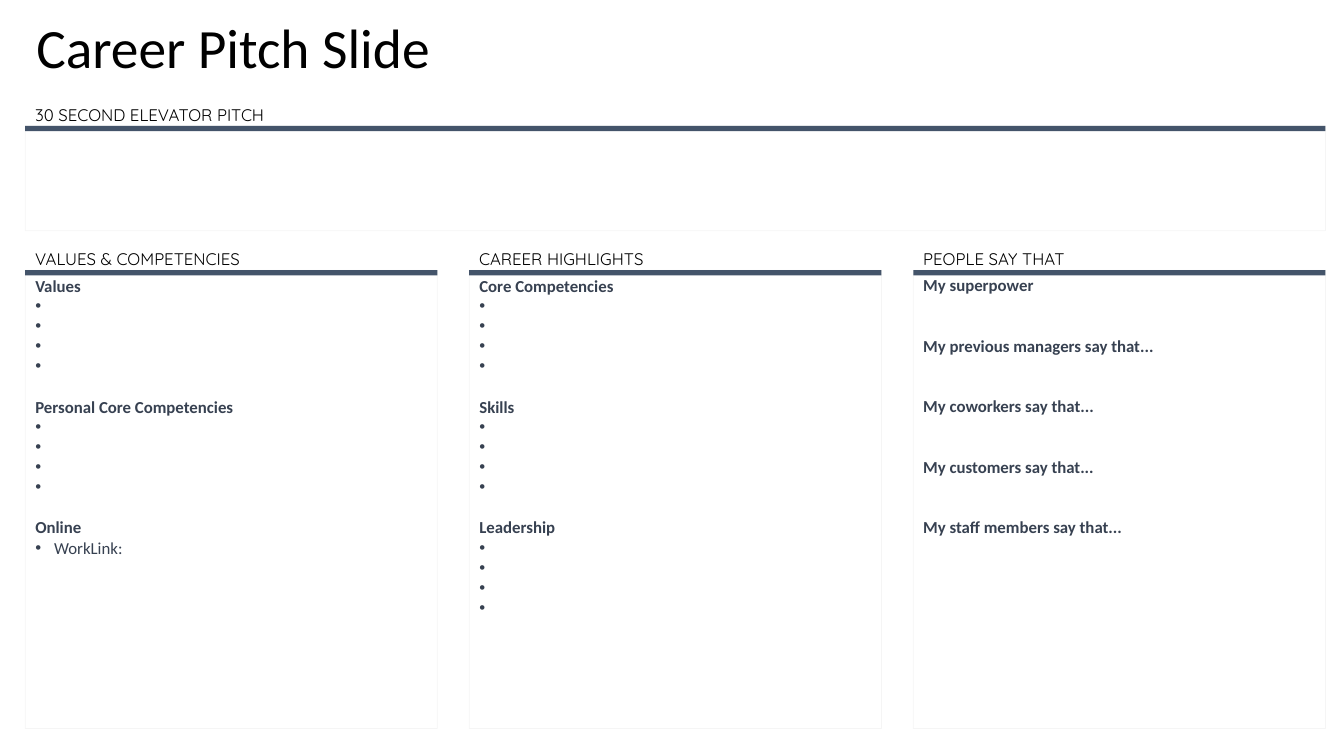
from dataclasses import dataclass

from lxml.etree import SubElement
from pptx import Presentation
from pptx.dml.color import RGBColor
from pptx.enum.shapes import MSO_SHAPE
from pptx.enum.text import MSO_ANCHOR, MSO_AUTO_SIZE, PP_ALIGN
from pptx.oxml.ns import qn
from pptx.util import Pt


@dataclass(frozen=True)
class Theme:
    black: RGBColor = RGBColor(0x00, 0x00, 0x00)
    white: RGBColor = RGBColor(0xFF, 0xFF, 0xFF)
    ink: RGBColor = RGBColor(0x37, 0x41, 0x51)
    accent: RGBColor = RGBColor(0x44, 0x54, 0x6A)
    body_font: str = "Calibri"
    label_font: str = "Quicksand"
    title_size: float = 39.6
    text_size: float = 12


THEME = Theme()
MARGIN = 18
COLUMN_WIDTH = 294.4
COLUMN_PITCH = 317.2
COLUMN_TOP = 193
COLUMN_HEIGHT = 327.4
PITCH_TOP = 90
PITCH_HEIGHT = 74.8
BAR_HEIGHT = 3.8
LABEL_RISE = 18.7
LABEL_HEIGHT = 22.2
LINE_HEIGHT = 14.4
BULLET_INDENT = 13.5
BLANK_ITEMS = [" "] * 4

COLUMNS = [
    ("VALUES & COMPETENCIES", LINE_HEIGHT, [
        ("Values", BLANK_ITEMS),
        ("Personal Core Competencies", BLANK_ITEMS),
        ("Online", ["WorkLink:"]),
    ]),
    ("CAREER HIGHLIGHTS", LINE_HEIGHT, [
        ("Core Competencies", BLANK_ITEMS),
        ("Skills", BLANK_ITEMS),
        ("Leadership", BLANK_ITEMS),
    ]),
    ("PEOPLE SAY THAT", 2 * LINE_HEIGHT, [
        ("My superpower", []),
        ("My previous managers say that...", []),
        ("My coworkers say that...", []),
        ("My customers say that...", []),
        ("My staff members say that...", []),
    ]),
]


def place(shape, left, top, width, height):
    shape.left, shape.top = Pt(left), Pt(top)
    shape.width, shape.height = Pt(width), Pt(height)


def add_span(para, text, font, size, color, bold=False):
    span = para.add_run()
    span.text = text
    span.font.name = font
    span.font.size = Pt(size)
    span.font.color.rgb = color
    span.font.bold = bold


def add_rectangle(slide, left, top, width, height):
    box = slide.shapes.add_shape(
        MSO_SHAPE.RECTANGLE, Pt(left), Pt(top), Pt(width), Pt(height))
    box.shadow.inherit = False
    return box


def style_panel(panel):
    panel.fill.solid()
    panel.fill.fore_color.rgb = THEME.white
    panel.line.width = Pt(0.5)
    panel.line.color.rgb = THEME.black
    color = next(panel.line._get_or_add_ln().iter(qn("a:srgbClr")))
    SubElement(color, qn("a:alpha"), val="3000")
    frame = panel.text_frame
    frame.word_wrap = True
    frame.auto_size = MSO_AUTO_SIZE.NONE
    frame.vertical_anchor = MSO_ANCHOR.TOP


def set_bullet(para, bulleted):
    properties = para._p.get_or_add_pPr()
    indent = Pt(BULLET_INDENT) if bulleted else 0
    properties.set("marL", str(indent))
    properties.set("indent", str(-indent))
    if bulleted:
        SubElement(properties, qn("a:buFont"), typeface="Arial")
        SubElement(properties, qn("a:buChar"), char="•")
    else:
        SubElement(properties, qn("a:buNone"))


def write_lists(frame, lists, gap):
    lines = [(text, text == heading, index)
             for index, (heading, items) in enumerate(lists)
             for text in [heading, *items]]
    for number, (text, is_heading, index) in enumerate(lines):
        para = frame.add_paragraph() if number else frame.paragraphs[0]
        para.alignment = PP_ALIGN.LEFT
        para.space_before = Pt(gap if is_heading and index else 0)
        set_bullet(para, not is_heading)
        add_span(para, text, THEME.body_font, THEME.text_size, THEME.ink, is_heading)


def add_header(slide, text, left, top, width):
    label = slide.shapes.add_textbox(
        Pt(left), Pt(top - LABEL_RISE), Pt(width), Pt(LABEL_HEIGHT))
    label.text_frame.word_wrap = True
    add_span(label.text_frame.paragraphs[0], text,
             THEME.label_font, THEME.text_size, THEME.black)
    bar = add_rectangle(slide, left, top, width, BAR_HEIGHT)
    bar.fill.solid()
    bar.fill.fore_color.rgb = THEME.accent
    bar.line.fill.background()


def write_title(title, text):
    place(title, 18.7, 14.4, 828, 43.2)
    frame = title.text_frame
    frame.auto_size = MSO_AUTO_SIZE.NONE
    frame.vertical_anchor = MSO_ANCHOR.MIDDLE
    para = frame.paragraphs[0]
    para.alignment = PP_ALIGN.LEFT
    para.line_spacing = 0.9
    add_span(para, text, THEME.body_font, THEME.title_size, THEME.black)


def main():
    deck = Presentation()
    deck.slide_width, deck.slide_height = Pt(960), Pt(540)
    slide = deck.slides.add_slide(deck.slide_layouts.get_by_name("Two Content"))
    write_title(slide.shapes.title, "Career Pitch Slide")

    bodies = list(slide.placeholders)[1:]
    bodies.append(add_rectangle(slide, 0, 0, COLUMN_WIDTH, COLUMN_HEIGHT))
    for index, (body, (label, gap, lists)) in enumerate(zip(bodies, COLUMNS)):
        left = MARGIN + index * COLUMN_PITCH
        place(body, left, COLUMN_TOP, COLUMN_WIDTH, COLUMN_HEIGHT)
        style_panel(body)
        write_lists(body.text_frame, lists, gap)
        add_header(slide, label, left, COLUMN_TOP, COLUMN_WIDTH)

    full_width = 2 * COLUMN_PITCH + COLUMN_WIDTH
    style_panel(add_rectangle(slide, MARGIN, PITCH_TOP, full_width, PITCH_HEIGHT))
    add_header(slide, "30 SECOND ELEVATOR PITCH", MARGIN, PITCH_TOP, full_width)
    deck.save("out.pptx")


if __name__ == "__main__":
    main()
